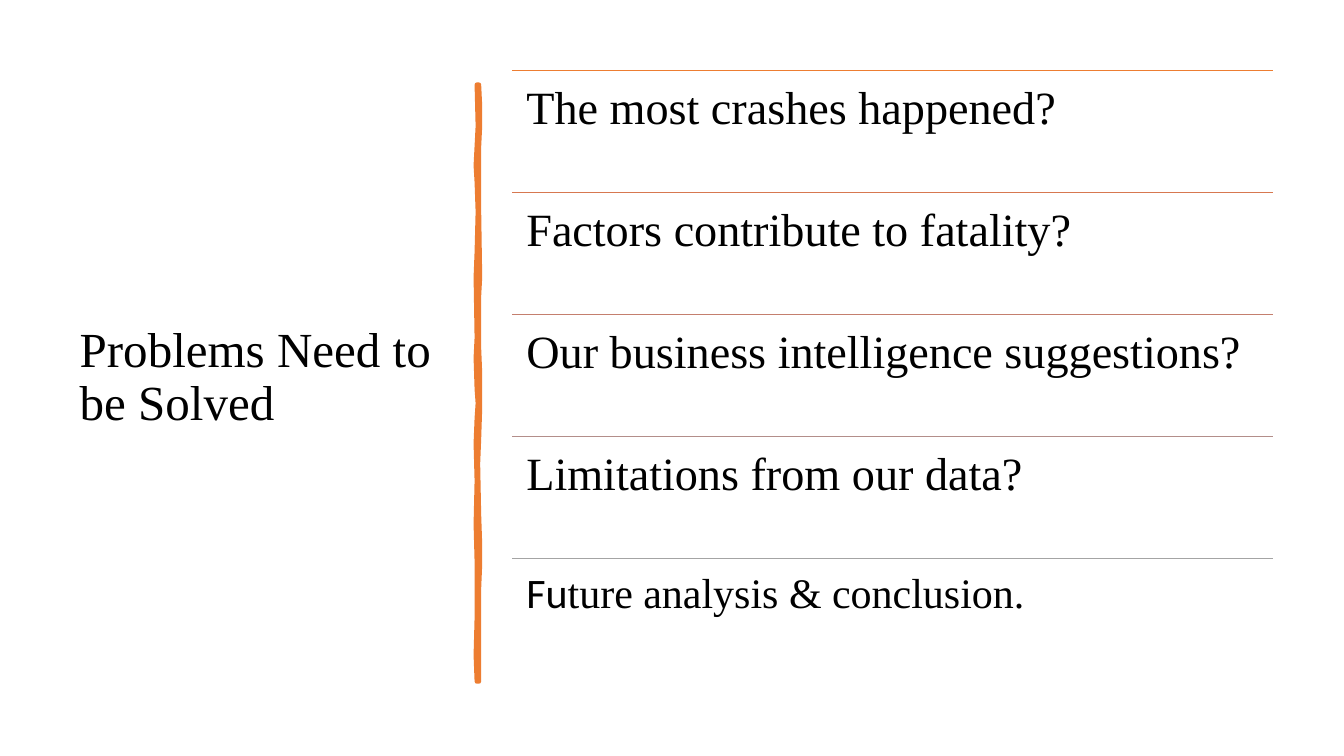
from lxml import etree
from pptx import Presentation
from pptx import util as u
from pptx.dml.color import RGBColor
from pptx.enum import shapes, text
from pptx.oxml.ns import qn

PX = 9144  # 100 px to the inch
SERIF, SANS = "Times New Roman", "Calibri"
BLACK = RGBColor(0x00, 0x00, 0x00)
ORANGE = RGBColor(0xED, 0x7D, 0x31)
RUST = RGBColor(0xD7, 0x78, 0x50)
CLAY = RGBColor(0xC4, 0x7F, 0x6E)
MAUVE = RGBColor(0xB3, 0x8E, 0x8A)
GRAY = RGBColor(0xA4, 0xA4, 0xA4)

LIST_LEFT, LIST_TOP, LIST_WIDTH, ROW_HEIGHT = 508, 70, 755, 121
QUESTIONS = [
    (ORANGE, 33, [("The most crashes happened?", SERIF)]),
    (RUST, 33, [("Factors contribute to fatality?", SERIF)]),
    (CLAY, 33, [("Our business intelligence suggestions?", SERIF)]),
    (MAUVE, 33, [("Limitations from our data?", SERIF)]),
    (GRAY, 30, [("Fu", SANS), ("ture analysis & conclusion.", SERIF)]),
]

# Hand-drawn bar: right edge downwards, then left edge upwards
BAR_EDGE = [
    (475, 84), (476, 105), (476, 125), (475, 146), (475, 208), (476, 275),
    (475, 294), (475, 345), (476, 370), (476, 405), (475, 436), (474, 460),
    (475, 510), (476, 540), (476, 560), (475, 584), (475, 676),
    (473, 676), (472, 650), (473, 613), (473, 557), (472, 520), (473, 477),
    (472, 440), (473, 415), (474, 400), (473, 386), (472, 355), (473, 335),
    (472, 275), (473, 250), (474, 210), (473, 181), (472, 164), (474, 125),
    (473, 84),
]


class Deck:
    def __init__(self, width, height):
        self.prs = Presentation()
        self.prs.slide_width, self.prs.slide_height = width * PX, height * PX
        self.slide = self.prs.slides.add_slide(self.prs.slide_layouts[5])

    def set_text(self, frame, runs, size, anchor, insets):
        frame.word_wrap = True
        frame.auto_size = text.MSO_AUTO_SIZE.NONE
        frame.vertical_anchor = anchor
        side, end = insets
        frame.margin_left = frame.margin_right = side * PX
        frame.margin_top = frame.margin_bottom = end * PX
        line = frame.paragraphs[0]
        line.alignment = text.PP_ALIGN.LEFT
        line.line_spacing = 0.9
        line.font.size = u.Pt(size)
        line.font.color.rgb = BLACK
        for words, face in runs:
            run = line.add_run()
            run.text = words
            run.font.name = face

    def title(self, words, x, y, w, h, size):
        heading = self.slide.shapes.title
        heading.left, heading.top = x * PX, y * PX
        heading.width, heading.height = w * PX, h * PX
        self.set_text(heading.text_frame, [(words, SERIF)], size,
                      text.MSO_ANCHOR.MIDDLE, (10, 5))

    def label(self, runs, x, y, w, h, size):
        box = self.slide.shapes.add_textbox(x * PX, y * PX, w * PX, h * PX)
        self.set_text(box.text_frame, runs, size, text.MSO_ANCHOR.TOP, (14, 14))

    def rule(self, x, y, w, color):
        rule = self.slide.shapes.add_connector(
            shapes.MSO_CONNECTOR.STRAIGHT, x * PX, y * PX, (x + w) * PX, y * PX)
        rule.line.color.rgb = color
        rule.line.width = u.Pt(1)
        etree.SubElement(rule._element.spPr, qn("a:effectLst"))

    def brush_stroke(self, edge, color, weight):
        builder = self.slide.shapes.build_freeform(*edge[0], scale=PX)
        builder.add_line_segments(edge[1:], close=True)
        stroke = builder.convert_to_shape()
        stroke.shadow.inherit = False
        stroke.fill.solid()
        stroke.fill.fore_color.rgb = color
        stroke.line.color.rgb = color
        stroke.line.width = u.Pt(weight)
        outline = stroke._element.spPr.find(qn("a:ln"))
        etree.SubElement(outline, qn("a:round"))


def main():
    deck = Deck(1333, 750)
    deck.title("Problems Need to be Solved", 69, 70, 374, 611, 35)
    deck.brush_stroke(BAR_EDGE, ORANGE, 3.25)
    for row, (color, size, runs) in enumerate(QUESTIONS):
        top = LIST_TOP + row * ROW_HEIGHT
        deck.rule(LIST_LEFT, top, LIST_WIDTH, color)
        deck.label(runs, LIST_LEFT, top, LIST_WIDTH, ROW_HEIGHT, size)
    deck.prs.save("out.pptx")


if __name__ == "__main__":
    main()
